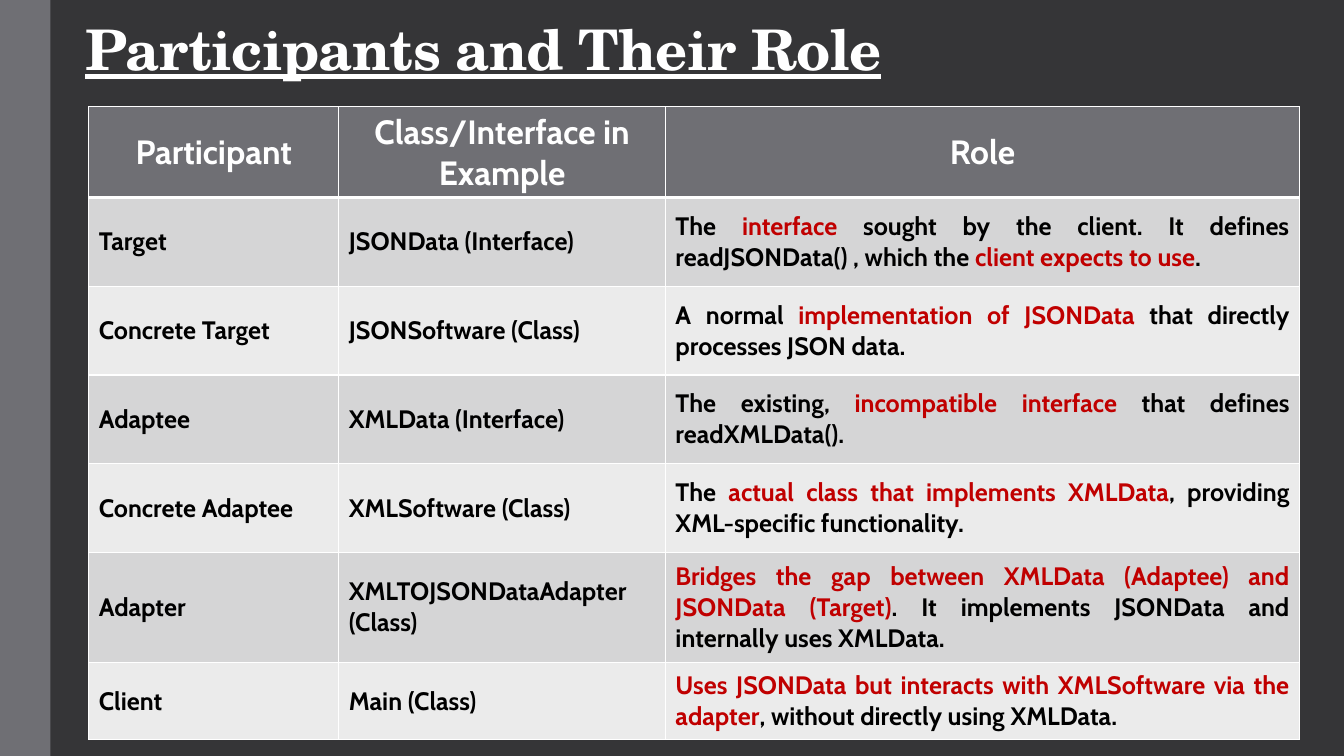
from dataclasses import dataclass

from lxml import etree
from pptx import Presentation
from pptx.dml.color import RGBColor
from pptx.enum.shapes import MSO_SHAPE
from pptx.enum.text import MSO_ANCHOR, PP_ALIGN
from pptx.oxml.ns import qn
from pptx.util import Inches, Pt

RECT = MSO_SHAPE.RECTANGLE
MIDDLE = MSO_ANCHOR.MIDDLE
LEFT, CENTER, JUSTIFY = PP_ALIGN.LEFT, PP_ALIGN.CENTER, PP_ALIGN.JUSTIFY


@dataclass(frozen=True)
class Theme:
    """Colours, fonts and type sizes of the slide."""
    back: str = "353537"
    gray: str = "6F6F74"
    dark: str = "D5D5D6"
    light: str = "EBEBEB"
    white: str = "FFFFFF"
    black: str = "000000"
    red: str = "C00000"
    serif: str = "TeX Gyre Schola"
    sans: str = "Cabin"
    title: int = 40
    head: int = 24
    body: int = 18


THEME = Theme()
COLS = [2.48, 3.24, 6.29]
ROWS = [0.88] * 5 + [1.09, 0.77]
HEADS = ["Participant", "Class/Interface in Example", "Role"]
ROLES = [
    ("Target", "JSONData (Interface)",
     "The *interface* sought by the client. It defines readJSONData() , "
     "which the *client expects to use*."),
    ("Concrete Target", "JSONSoftware (Class)",
     "A normal *implementation of JSONData* that directly processes JSON data."),
    ("Adaptee", "XMLData (Interface)",
     "The existing, *incompatible interface* that defines readXMLData()."),
    ("Concrete Adaptee", "XMLSoftware (Class)",
     "The *actual class that implements XMLData*, providing XML-specific "
     "functionality."),
    ("Adapter", "XMLTOJSONDataAdapter (Class)",
     "*Bridges the gap between XMLData (Adaptee) and JSONData (Target)*. "
     "It implements JSONData and internally uses XMLData."),
    ("Client", "Main (Class)",
     "*Uses JSONData but interacts with XMLSoftware via the adapter*, "
     "without directly using XMLData."),
]


def rgb(code):
    """Turn a hex code into a colour."""
    return RGBColor.from_string(code)


def write(frame, text, size, color, font=THEME.sans, align=LEFT,
          line=None, under=False, track=None):
    """Write one bold paragraph, with the parts between asterisks in red."""
    frame.word_wrap = True
    para = frame.paragraphs[0]
    para.alignment = align
    para.line_spacing = line
    for i, part in enumerate(text.split("*")):
        if not part:
            continue
        run = para.add_run()
        run.text = part
        run.font.name = font
        run.font.size = Pt(size)
        run.font.bold = True
        run.font.underline = under
        run.font.color.rgb = rgb(THEME.red if i % 2 else color)
        if track is not None:
            run.font._element.set("spc", str(int(track * 100)))


def edge(cell, widths):
    """Draw white cell borders; widths are left, right, top, bottom."""
    props = cell._tc.get_or_add_tcPr()
    for i, (side, width) in enumerate(zip("LRTB", widths)):
        line = etree.Element(qn(f"a:ln{side}"), w=str(Pt(width)))
        fill = etree.SubElement(line, qn("a:solidFill"))
        etree.SubElement(fill, qn("a:srgbClr"), val=THEME.white)
        props.insert(i, line)


def add_bar(slide, left, top, width, height):
    """Add the plain side bar."""
    bar = slide.shapes.add_shape(
        RECT, Inches(left), Inches(top), Inches(width), Inches(height))
    bar.shadow.inherit = False
    bar.fill.solid()
    bar.fill.fore_color.rgb = rgb(THEME.gray)
    bar.line.fill.background()


def add_title(slide, left, top, width, height):
    """Add the underlined title."""
    box = slide.shapes.add_textbox(
        Inches(left), Inches(top), Inches(width), Inches(height))
    box.text_frame.vertical_anchor = MIDDLE
    write(box.text_frame, "Participants and Their Role", THEME.title,
          THEME.white, font=THEME.serif, align=CENTER, line=0.85,
          under=True, track=-0.5)


def add_roles(slide, left, top):
    """Add the table of participants and roles."""
    table = slide.shapes.add_table(
        len(ROWS), len(COLS), Inches(left), Inches(top),
        Inches(sum(COLS)), Inches(sum(ROWS))).table
    for col, width in zip(table.columns, COLS):
        col.width = Inches(width)
    for row, height in zip(table.rows, ROWS):
        row.height = Inches(height)
    for r, texts in enumerate([HEADS, *ROLES]):
        head = r == 0
        fill = THEME.gray if head else (THEME.light, THEME.dark)[r % 2]
        size = THEME.head if head else THEME.body
        color = THEME.white if head else THEME.black
        for c, text in enumerate(texts):
            cell = table.cell(r, c)
            cell.vertical_anchor = MIDDLE
            cell.fill.solid()
            cell.fill.fore_color.rgb = rgb(fill)
            align = CENTER if head else (LEFT, LEFT, JUSTIFY)[c]
            write(cell.text_frame, text, size, color, align=align)
            edge(cell, (1, 1, 3 if r == 1 else 1, 3 if head else 1))


def main():
    """Build and save the slide."""
    deck = Presentation()
    deck.slide_width, deck.slide_height = Inches(13.33), Inches(7.5)
    slide = deck.slides.add_slide(deck.slide_layouts[6])
    slide.background.fill.solid()
    slide.background.fill.fore_color.rgb = rgb(THEME.back)
    add_bar(slide, 0, 0, 0.5, 7.5)
    add_title(slide, 0.54, 0, 8.51, 1.06)
    add_roles(slide, 0.88, 1.06)
    deck.save("out.pptx")


if __name__ == "__main__":
    main()
